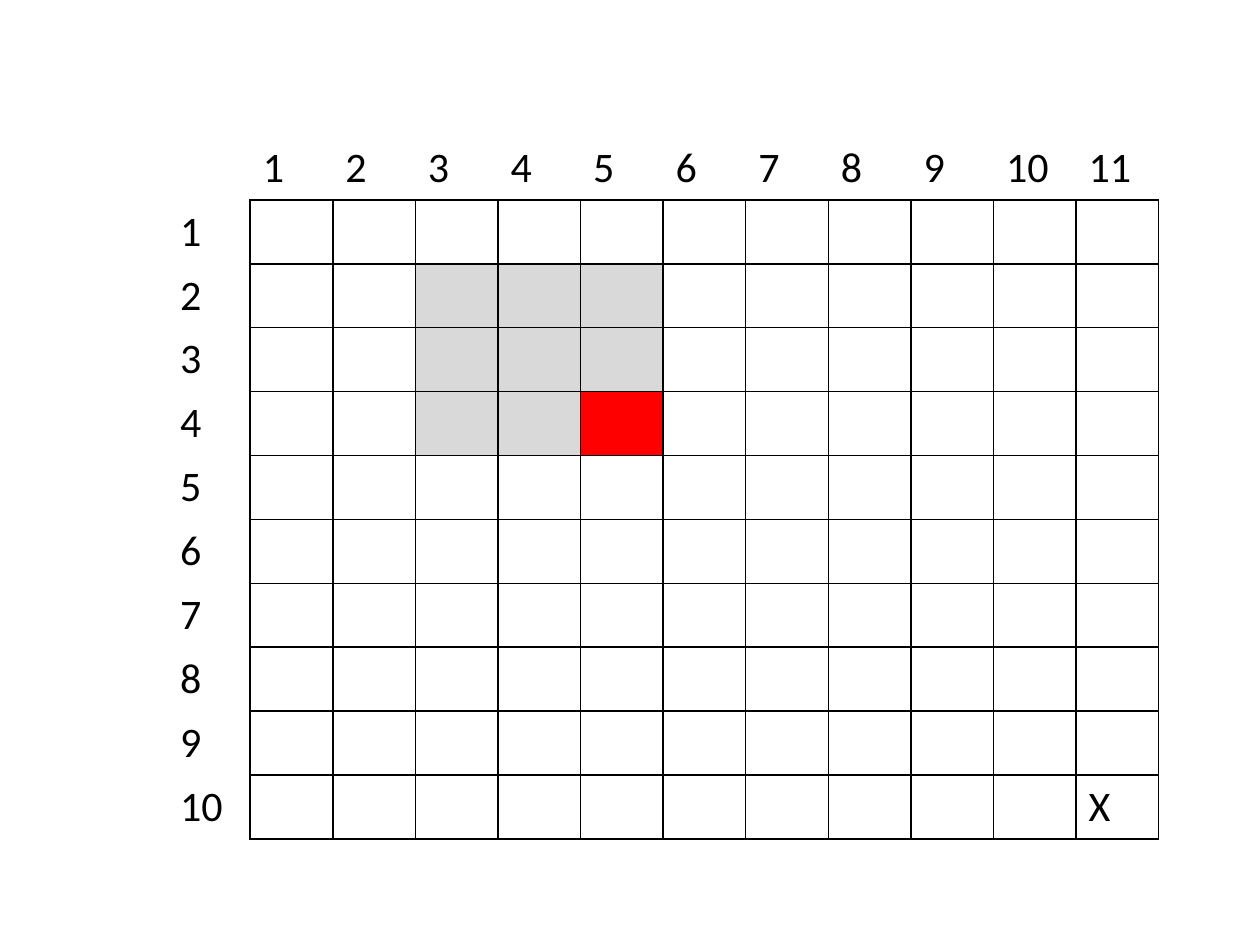
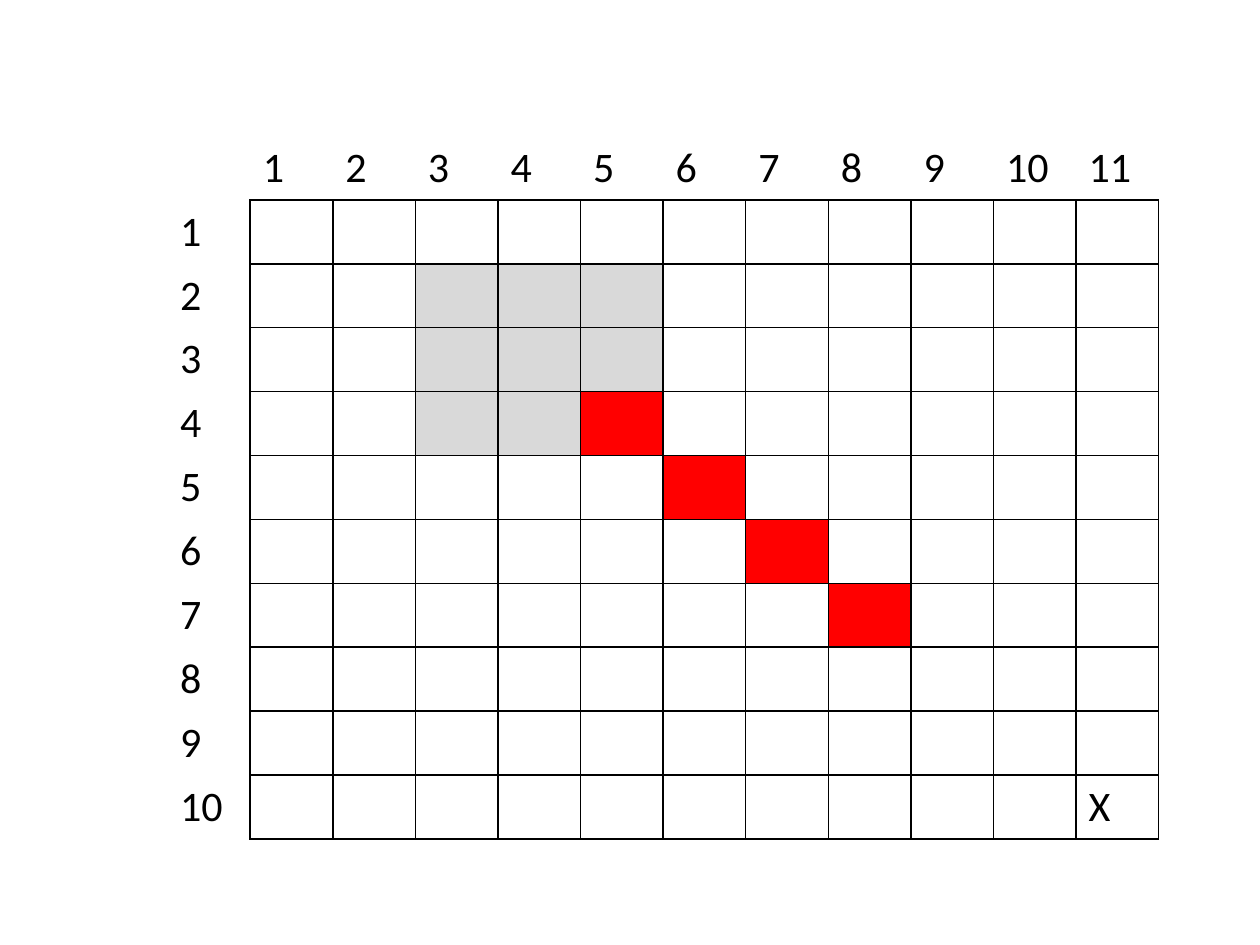
"""Build two slides that show a numbered 10 by 11 grid with shaded cells."""
import pptx
import pptx.dml.color
import pptx.oxml.ns
import pptx.util
from lxml import etree

THEME = {
    "ink": "000000",
    "paper": "FFFFFF",
    "region": "D9D9D9",
    "path": "FF0000",
    "border": pptx.util.Pt(1),
    "font": {"name": "Calibri", "size": pptx.util.Pt(24), "bold": False},
}
ROWS, COLUMNS = 10, 11
TABLE_WIDTH, TABLE_HEIGHT = 7.87, 5.5
TABLE_FORMAT = {"first_row": False, "horz_banding": False}
REGION = {(row, column) for row in range(2, 5) for column in range(3, 6)}
DIAGONAL = [(4, 5), (5, 6), (6, 7), (7, 8)]
TARGET = (10, 11)


def add_border(cell, side, visible):
    """Draw one side of a cell, or leave it without a line."""
    properties = cell._tc.get_or_add_tcPr()
    line = etree.SubElement(
        properties, pptx.oxml.ns.qn(f"a:ln{side}"), w=str(THEME["border"])
    )
    if visible:
        fill = etree.SubElement(line, pptx.oxml.ns.qn("a:solidFill"))
        etree.SubElement(fill, pptx.oxml.ns.qn("a:srgbClr"), val=THEME["ink"])
    else:
        etree.SubElement(line, pptx.oxml.ns.qn("a:noFill"))


def write_cell(cell, text):
    """Put formatted text in a cell."""
    paragraph = cell.text_frame.paragraphs[0]
    run = paragraph.add_run()
    run.text = text
    for name, value in THEME["font"].items():
        setattr(run.font, name, value)
    run.font.color.rgb = pptx.dml.color.RGBColor.from_string(THEME["ink"])


presentation = pptx.Presentation()
presentation.slide_width = pptx.util.Inches(10)
presentation.slide_height = pptx.util.Inches(7.5)
blank_layout = presentation.slide_layouts[6]

for path_cells in (DIAGONAL[:1], DIAGONAL):
    slide = presentation.slides.add_slide(blank_layout)
    table = slide.shapes.add_table(
        ROWS + 1,
        COLUMNS + 1,
        pptx.util.Inches(1.33),
        pptx.util.Inches(1.08),
        pptx.util.Inches(TABLE_WIDTH),
        pptx.util.Inches(TABLE_HEIGHT),
    ).table
    for name, value in TABLE_FORMAT.items():
        setattr(table, name, value)
    for table_column in table.columns:
        table_column.width = pptx.util.Inches(TABLE_WIDTH / (COLUMNS + 1))
    for table_row in table.rows:
        table_row.height = pptx.util.Inches(TABLE_HEIGHT / (ROWS + 1))

    for row in range(ROWS + 1):
        for column in range(COLUMNS + 1):
            cell = table.cell(row, column)
            in_grid = row > 0 and column > 0
            borders = {
                "L": in_grid,
                "R": row > 0,
                "T": in_grid,
                "B": column > 0,
            }
            for side, visible in borders.items():
                add_border(cell, side, visible)

            if in_grid:
                color = THEME["paper"]
                if (row, column) in path_cells:
                    color = THEME["path"]
                elif (row, column) in REGION:
                    color = THEME["region"]
                cell.fill.solid()
                cell.fill.fore_color.rgb = pptx.dml.color.RGBColor.from_string(color)
            else:
                cell.fill.background()

            if (row, column) == TARGET:
                write_cell(cell, "X")
            elif not in_grid and row + column > 0:
                write_cell(cell, str(row + column))

presentation.save("out.pptx")
